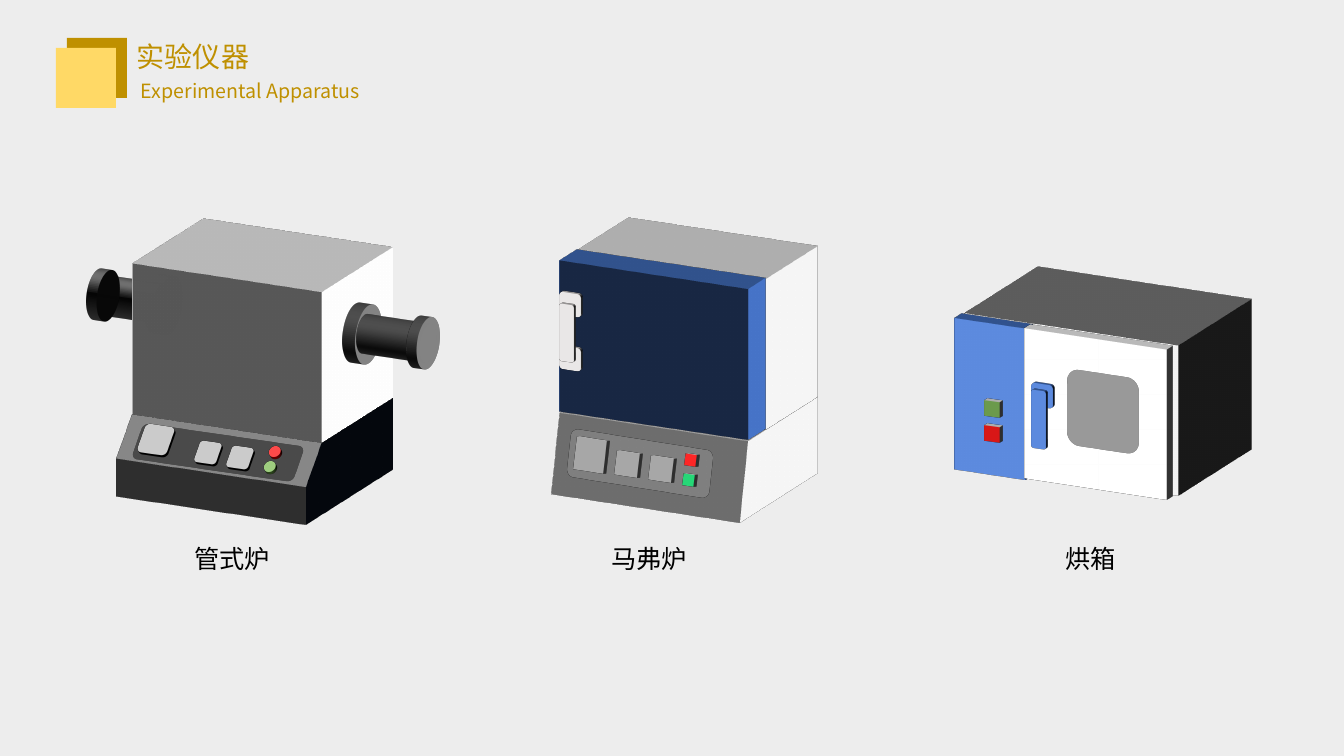
from lxml.etree import SubElement
from pptx import Presentation
from pptx.dml.color import RGBColor
from pptx.enum.shapes import MSO_SHAPE
from pptx.enum.text import PP_ALIGN
from pptx.oxml.ns import qn
from pptx.util import Pt

PX = 914400 / 100.8
CJK_FONT = "Noto Sans CJK SC"
RECT, ROUND, OVAL = MSO_SHAPE.RECTANGLE, MSO_SHAPE.ROUNDED_RECTANGLE, MSO_SHAPE.OVAL

FRONT = (18, 26, 0)
SIDE = (18, 296, 0)
BEHIND = (18, 116, 0)
SLANTED = (337, 27, 340.5)
STEEP = (5.5, 25, 353.5)


def px(length):
    """Turn a length in px into EMU."""
    return round(length * PX)


def color(value):
    """Turn a hex string into a colour."""
    return RGBColor.from_string(value)


def paint(shape, fill, edge=None, weight=1):
    """Give a shape a flat fill and an optional line."""
    shape.shadow.inherit = False
    shape.fill.solid()
    shape.fill.fore_color.rgb = color(fill)
    if edge:
        shape.line.color.rgb = color(edge)
        shape.line.width = Pt(weight)
    else:
        shape.line.fill.background()


def extrude(shape, view, depth, lift=0, side=None):
    """Turn a shape in space and give it a depth and a lift in points."""
    properties = shape._element.spPr
    scene = SubElement(properties, qn("a:scene3d"))
    camera = SubElement(scene, qn("a:camera"), prst="orthographicFront")
    angles = {name: str(round(angle * 60000)) for name, angle in zip(("lat", "lon", "rev"), view)}
    SubElement(camera, qn("a:rot"), angles)
    SubElement(scene, qn("a:lightRig"), rig="threePt", dir="t")
    solid = SubElement(properties, qn("a:sp3d"), z=str(Pt(lift)), extrusionH=str(Pt(depth)))
    if side:
        tint = SubElement(solid, qn("a:extrusionClr"))
        SubElement(tint, qn("a:srgbClr"), val=side)


def add_preset(page, kind, box, fill, edge=None, weight=1):
    """Place a preset shape in a box."""
    shape = page.shapes.add_shape(kind, *map(px, box))
    paint(shape, fill, edge, weight)
    return shape


def add_solid(page, origin, kind, box, fill, view, depth, lift=0, side=None, edge=None, weight=1):
    """Place an extruded preset shape relative to the origin."""
    x, y, width, height = box
    shape = add_preset(page, kind, (origin[0] + x, origin[1] + y, width, height), fill, edge, weight)
    extrude(shape, view, depth, lift, side)
    return shape


def add_text(page, box, text, size, font, fill, align=PP_ALIGN.LEFT, wrap=False):
    """Write one line of text in a box."""
    frame = page.shapes.add_textbox(*map(px, box)).text_frame
    frame.word_wrap = wrap
    frame.text = text
    para = frame.paragraphs[0]
    para.alignment = align
    span = para.runs[0]
    span.font.size = Pt(size)
    span.font.color.rgb = color(fill)
    span.font.name = font
    if font == CJK_FONT:
        SubElement(span.font._element, qn("a:ea")).set("typeface", font)


def add_label(page, left, width, text):
    """Name an apparatus below its drawing."""
    add_text(page, (left, 538, width, 40), text, 18, CJK_FONT, "000000", PP_ALIGN.CENTER)


def add_heading(page, left, top):
    """Place the two squares and the bilingual title."""
    add_preset(page, RECT, (left + 11, top, 60, 60), "BF9000")
    add_preset(page, RECT, (left, top + 10, 60, 60), "FFD966")
    add_text(page, (left + 71, top - 3, 383, 44), "实验仪器", 20, "Arial", "BF9000", wrap=True)
    add_text(page, (left + 75, top + 36, 260, 34), "Experimental Apparatus", 14, CJK_FONT,
             "BF9000", wrap=True)


def add_plug(page, origin, center, view):
    """Stack the three discs of a tube end."""
    x, y = center
    for size, depth, lift in [(60, 10, 3), (40, 50, 50), (52, 8, 50)]:
        box = (x - size / 2, y - size / 2, size, size)
        add_solid(page, origin, OVAL, box, "808080", view, depth, lift, "595959")


def add_tube_furnace(page, left, top):
    """Build the tube furnace from extruded shapes."""
    origin = (left, top)
    add_plug(page, origin, (100, 86), BEHIND)
    base = add_solid(page, origin, MSO_SHAPE.SNIP_1_RECTANGLE, (0, 173, 198, 79), "4472C4",
                     BEHIND, 150, side="F2F2F2")
    base.adjustments[0] = 0.5
    add_solid(page, origin, RECT, (215, 48, 162, 158), "FFFFFF", SIDE, 150, side="FFFFFF")
    add_plug(page, origin, (304, 116), SIDE)
    add_solid(page, origin, ROUND, (68, 215, 178, 40), "000000", SLANTED, 0, edge="808080")
    for x, y, size in [(80, 208, 32), (136, 225, 24), (168, 230, 24)]:
        add_solid(page, origin, ROUND, (x, y, size, size), "808080", SLANTED, 3, 3, edge="000000")
    for x, y, fill in [(209, 230, "C00000"), (204, 245, "548235")]:
        add_solid(page, origin, OVAL, (x, y, 12, 12), fill, SLANTED, 3, 3)


def add_muffle_furnace(page, left, top):
    """Build the muffle furnace from extruded shapes."""
    origin = (left, top)
    outline = [(145, 0), (304, 0), (304, 80), (165, 80), (145, 80), (126, 80)]
    corners = [(px(left + x), px(top + 202 + y)) for x, y in outline]
    builder = page.shapes.build_freeform(*corners[0], scale=1.0)
    builder.add_line_segments(corners[1:], close=True)
    base = builder.convert_to_shape()
    paint(base, "F2F2F2")
    extrude(base, SIDE, 150, side="D9D9D9")
    add_solid(page, origin, RECT, (168, 41, 119, 158), "F2F2F2", SIDE, 150, side="F2F2F2")
    add_solid(page, origin, RECT, (173, 62, 40, 158), "4472C4", SIDE, 150, side="4472C4")
    add_solid(page, origin, ROUND, (-3, 222, 158, 48), "595959", STEEP, 0, edge="000000")
    buttons = [(13, 221, 32, "808080"), (54, 234, 24, "808080"), (88, 239, 24, "808080"),
               (124, 236, 12, "FF0000"), (122, 256, 12, "00B050")]
    for x, y, size, fill in buttons:
        add_solid(page, origin, RECT, (x, y, size, size), fill, STEEP, 5, 5, edge="F2F2F2")
    for x, y, width, height, lift in [(0, 71, 24, 24, 10), (0, 125, 24, 24, 10), (4, 79, 16, 60, 15)]:
        add_solid(page, origin, ROUND, (x, y, width, height), "D0CECE", FRONT, 3, lift)


def add_oven(page, left, top):
    """Build the drying oven from extruded shapes."""
    origin = (left, top)
    add_solid(page, origin, RECT, (0, 60, 238, 158), "D9D9D9", FRONT, 120, side="808080")
    add_solid(page, origin, RECT, (0, 54, 79, 158), "4472C4", FRONT, 12, 3, "4472C4")
    add_solid(page, origin, RECT, (71, 66, 158, 158), "FFFFFF", FRONT, 10, 10, "FFFFFF")
    add_solid(page, origin, ROUND, (118, 103, 79, 79), "808080", FRONT, 0, 10, None, "595959", 2)
    add_solid(page, origin, ROUND, (84, 115, 24, 24), "4472C4", FRONT, 3, 10)
    add_solid(page, origin, ROUND, (88, 119, 16, 60), "4472C4", FRONT, 3, 15)
    for y, fill in [(158, "C00000"), (133, "548235")]:
        add_solid(page, origin, RECT, (37, y, 16, 16), fill, FRONT, 5, 8, edge="F2F2F2")


def main():
    """Build the slide and save the deck."""
    deck = Presentation()
    deck.slide_width, deck.slide_height = px(1344), px(756)
    page = deck.slides.add_slide(deck.slide_layouts[6])
    page.background.fill.solid()
    page.background.fill.fore_color.rgb = color("EDEDED")
    add_tube_furnace(page, 61, 218)
    add_oven(page, 952, 265)
    for left, width, text in [(184, 96, "管式炉"), (1055, 71, "烘箱")]:
        add_label(page, left, width, text)
    add_muffle_furnace(page, 564, 218)
    add_label(page, 601, 96, "马弗炉")
    add_heading(page, 56, 38)
    deck.save("out.pptx")


if __name__ == "__main__":
    main()
